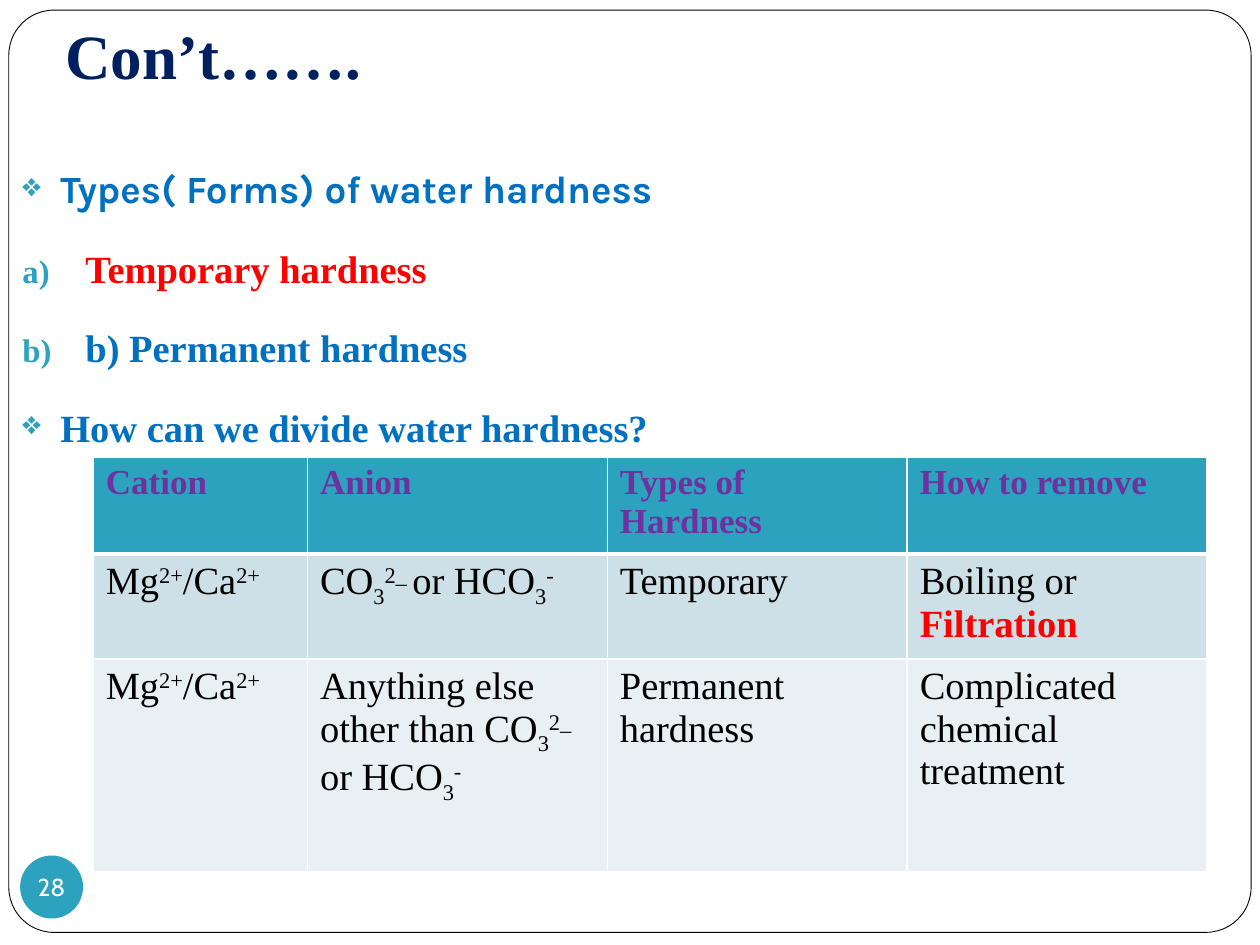
from dataclasses import dataclass
from lxml import etree
from pptx import Presentation
from pptx.dml.color import RGBColor
from pptx.enum.shapes import MSO_SHAPE
from pptx.enum.text import MSO_ANCHOR, PP_ALIGN
from pptx.oxml.ns import qn
from pptx.util import Inches, Pt

ROUNDED, OVAL = MSO_SHAPE.ROUNDED_RECTANGLE, MSO_SHAPE.OVAL
TOP, MIDDLE, BOTTOM = MSO_ANCHOR.TOP, MSO_ANCHOR.MIDDLE, MSO_ANCHOR.BOTTOM
CENTER, JUSTIFY = PP_ALIGN.CENTER, PP_ALIGN.JUSTIFY
SUB, SUP = -25, 30


@dataclass(frozen=True)
class Theme:
    serif: str = "Times New Roman"
    display: str = "Karla"
    number: str = "Cabin"
    white: str = "FFFFFF"
    black: str = "000000"
    navy: str = "002060"
    blue: str = "0070C0"
    red: str = "FF0000"
    purple: str = "7030A0"
    teal: str = "2DA2BF"
    bands: tuple = ("CDE0E8", "E8F0F4")
    title_size: int = 36
    body_size: int = 22
    header_size: int = 20
    number_size: int = 14


def rgb(color):
    return RGBColor.from_string(color)


def add_text(paragraph, text, *, font, size, color, bold=False, baseline=0):
    run = paragraph.add_run()
    run.text = text
    run.font.name = font
    run.font.size = Pt(size)
    run.font.bold = bold
    run.font.color.rgb = rgb(color)
    if baseline:
        run.font._element.set("baseline", str(baseline * 1000))


def add_bullet(paragraph, color, indent, kind, **attributes):
    properties = paragraph._p.get_or_add_pPr()
    properties.set("marL", str(Inches(indent)))
    properties.set("indent", str(-Inches(indent)))
    bullet_color = etree.SubElement(properties, qn("a:buClr"))
    etree.SubElement(bullet_color, qn("a:srgbClr"), val=color)
    etree.SubElement(properties, qn("a:buSzPct"), val="85000")
    etree.SubElement(properties, qn(kind), **attributes)


def add_borders(cell, color, bottom):
    properties = cell._tc.get_or_add_tcPr()
    for side, width in (("L", 1), ("R", 1), ("T", 1), ("B", bottom)):
        line = etree.SubElement(properties, qn(f"a:ln{side}"), w=str(Pt(width)))
        fill = etree.SubElement(line, qn("a:solidFill"))
        etree.SubElement(fill, qn("a:srgbClr"), val=color)


class SlideBuilder:
    def __init__(self, slide, theme):
        self.slide = slide
        self.theme = theme

    def shape(self, kind, box, fill, line=None):
        shape = self.slide.shapes.add_shape(kind, *map(Inches, box))
        shape.shadow.inherit = False
        shape.fill.solid()
        shape.fill.fore_color.rgb = rgb(fill)
        if line:
            shape.line.color.rgb = rgb(line)
            shape.line.width = Pt(0.5)
        else:
            shape.line.fill.background()
        return shape

    def frame(self):
        shape = self.shape(ROUNDED, (0.07, 0.08, 9.86, 7.32),
                           self.theme.white, self.theme.black)
        shape.adjustments[0] = 0.049

    def text_frame(self, box, anchor):
        frame = self.slide.shapes.add_textbox(*map(Inches, box)).text_frame
        frame.word_wrap = True
        frame.vertical_anchor = anchor
        return frame

    def title(self, text):
        frame = self.text_frame((0.42, 0.25, 9.17, 0.58), BOTTOM)
        frame.margin_bottom = Inches(0.1)
        add_text(frame.paragraphs[0], text, font=self.theme.serif, bold=True,
                 size=self.theme.title_size, color=self.theme.navy)

    def page_number(self, text):
        shape = self.shape(OVAL, (0.16, 6.79, 0.5, 0.5), self.theme.teal)
        frame = shape.text_frame
        frame.word_wrap = False
        frame.vertical_anchor = MIDDLE
        frame.margin_left = frame.margin_right = 0
        frame.margin_top = frame.margin_bottom = 0
        frame.paragraphs[0].alignment = CENTER
        add_text(frame.paragraphs[0], text, font=self.theme.number,
                 size=self.theme.number_size, color=self.theme.white)

    def body(self, items):
        frame = self.text_frame((0.08, 1.08, 9.75, 6.08), TOP)
        for index, (text, lettered, font, color) in enumerate(items):
            paragraph = frame.add_paragraph() if index else frame.paragraphs[0]
            paragraph.alignment = JUSTIFY
            paragraph.line_spacing = 1.5
            paragraph.space_before = Pt(5.8 if index else 0)
            if lettered:
                add_bullet(paragraph, self.theme.teal, 0.5, "a:buAutoNum",
                           type="alphaLcParenR")
            else:
                add_bullet(paragraph, self.theme.teal, 0.3, "a:buChar", char="❖")
            add_text(paragraph, text, font=font, color=color, bold=True,
                     size=self.theme.body_size)

    def cell(self, cell, runs, fill, bottom, **style):
        add_borders(cell, self.theme.white, bottom)
        cell.fill.solid()
        cell.fill.fore_color.rgb = rgb(fill)
        for text, changes in runs:
            add_text(cell.text_frame.paragraphs[0], text,
                     **{"font": self.theme.serif, **style, **changes})

    def table(self, headers, rows):
        widths, heights = (1.7, 2.38, 2.38, 2.38), (0.67, 0.8, 1.69)
        table = self.slide.shapes.add_table(
            len(heights), len(widths), Inches(0.74), Inches(3.63),
            Inches(sum(widths)), Inches(sum(heights))).table
        for column, width in zip(table.columns, widths):
            column.width = Inches(width)
        for row, height in zip(table.rows, heights):
            row.height = Inches(height)
        for column, text in enumerate(headers):
            self.cell(table.cell(0, column), [(text, {})], self.theme.teal, 3,
                      size=self.theme.header_size, color=self.theme.purple, bold=True)
        for row, (cells, fill) in enumerate(zip(rows, self.theme.bands), 1):
            for column, runs in enumerate(cells):
                self.cell(table.cell(row, column), runs, fill, 1,
                          size=self.theme.body_size, color=self.theme.black)


def plain(text):
    return (text, {})


def raised(text):
    return (text, {"baseline": SUP})


def lowered(text):
    return (text, {"baseline": SUB})


def main():
    presentation = Presentation()
    presentation.slide_width = Inches(10)
    presentation.slide_height = Inches(7.5)
    theme = Theme()
    builder = SlideBuilder(
        presentation.slides.add_slide(presentation.slide_layouts[6]), theme)

    cations = [plain("Mg"), raised("2+"), plain("/Ca"), raised("2+")]
    carbonates = [lowered("3"), raised("2_ "), plain("or HCO"),
                  lowered("3"), raised("-")]

    builder.frame()
    builder.title("Con’t…….")
    builder.page_number("28")
    builder.body([
        ("Types( Forms) of water hardness", False, theme.display, theme.blue),
        ("Temporary hardness", True, theme.serif, theme.red),
        ("b) Permanent hardness", True, theme.serif, theme.blue),
        ("How can we divide water hardness?", False, theme.serif, theme.blue),
    ])
    builder.table(
        ["Cation", "Anion", "Types of Hardness", "How to remove"],
        [
            [cations, [plain("CO"), *carbonates], [plain("Temporary")],
             [plain("Boiling or "),
              ("Filtration", {"color": theme.red, "bold": True})]],
            [cations, [plain("Anything else other than CO"), *carbonates],
             [plain("Permanent hardness")],
             [plain("Complicated chemical treatment")]],
        ])
    presentation.save("out.pptx")


if __name__ == "__main__":
    main()
